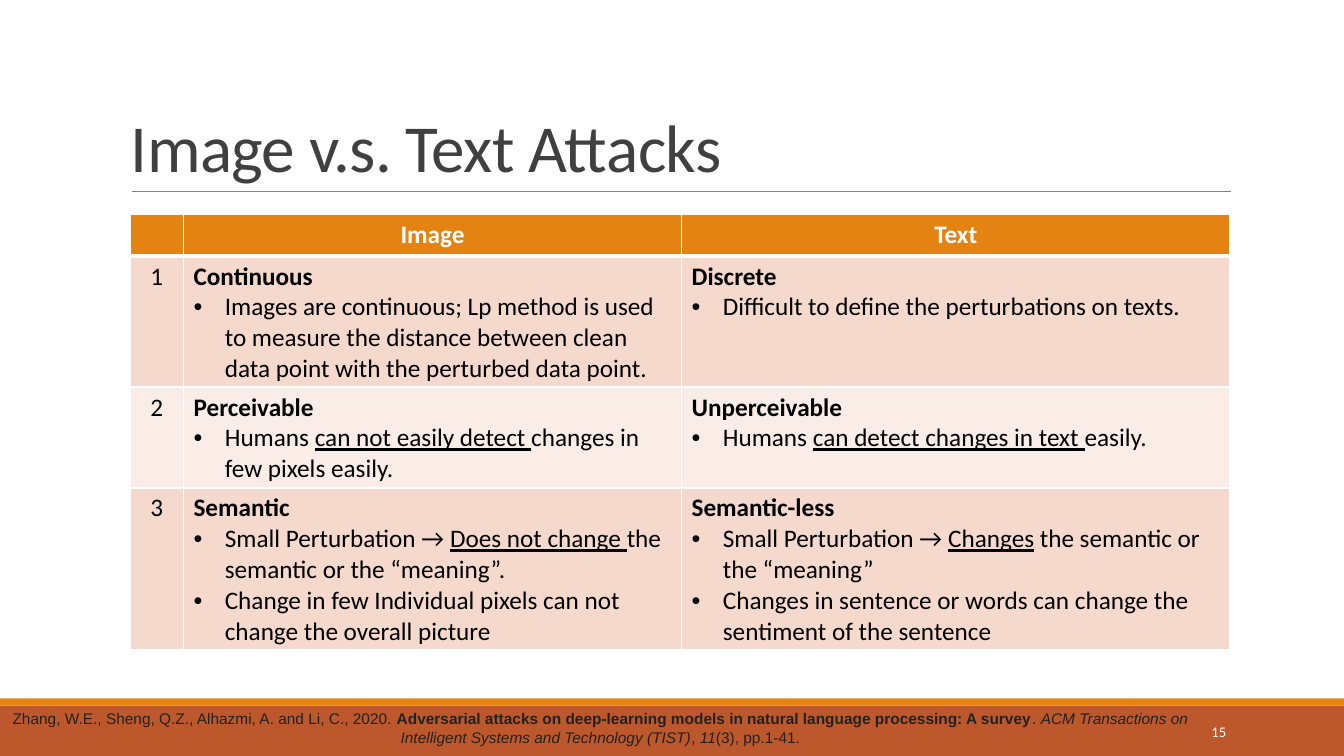
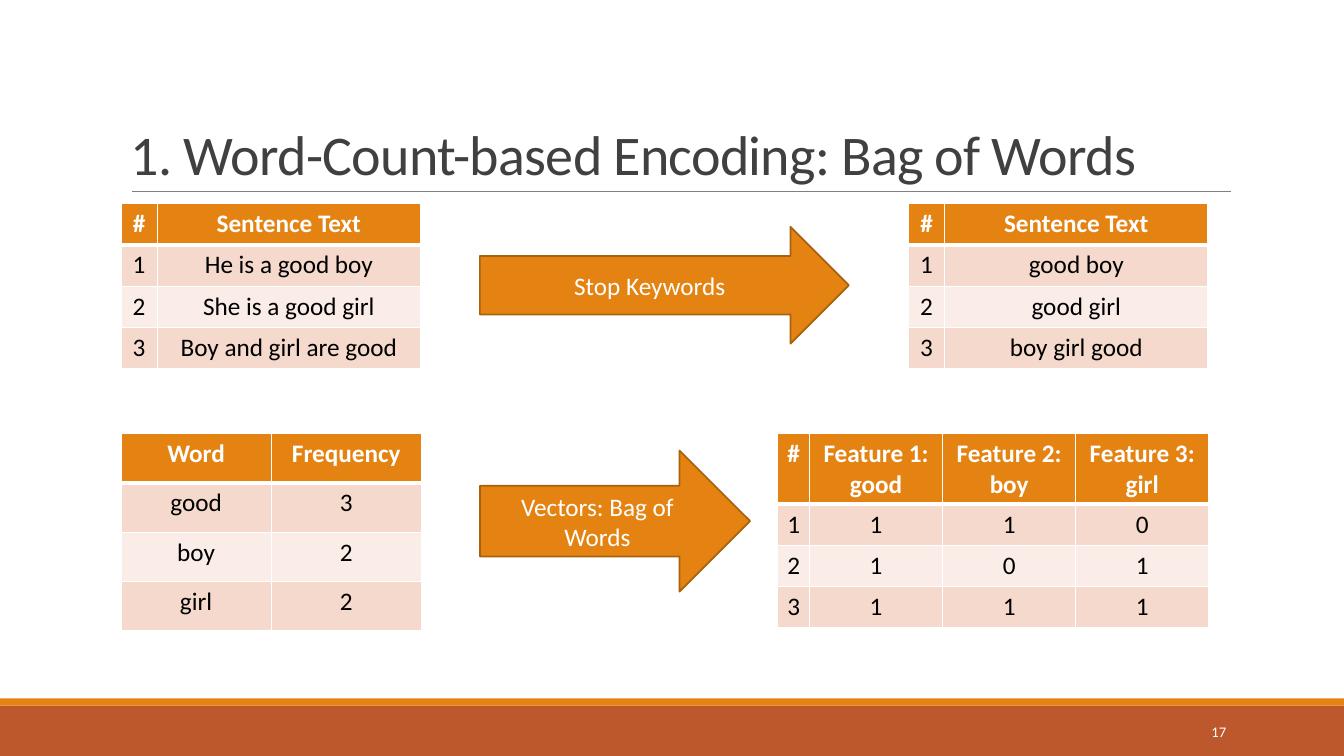
from lxml import etree
from pptx import Presentation
from pptx.dml.color import RGBColor
from pptx.enum.shapes import MSO_CONNECTOR, MSO_SHAPE
from pptx.enum.text import MSO_ANCHOR, PP_ALIGN
from pptx.oxml.ns import qn
from pptx.util import Emu, Pt

PX = 9144
WIDTH, HEIGHT = 1333, 750
WHITE = RGBColor(0xFF, 0xFF, 0xFF)
BLACK = RGBColor(0x00, 0x00, 0x00)
ORANGE = RGBColor(0xE4, 0x83, 0x12)
ORANGE_EDGE = RGBColor(0xA9, 0x61, 0x0D)
RUST = RGBColor(0xBD, 0x58, 0x2C)
GRAY = RGBColor(0x80, 0x80, 0x80)
TITLE_INK = RGBColor(0x40, 0x40, 0x40)
CITATION_INK = RGBColor(0x22, 0x22, 0x22)
STRIPES = (RGBColor(0xF5, 0xD9, 0xCC), RGBColor(0xFA, 0xED, 0xE7))

BULLET_INDENT = 31
SENTENCE_COLUMNS = (36, 261)
SENTENCE_HEADER = ("#", "Sentence Text")

CITATION = [
    "Zhang, W.E., Sheng, Q.Z., Alhazmi, A. and Li, C., 2020. ",
    ("Adversarial attacks on deep-learning models in natural language processing: A survey", "b"),
    ". ",
    ("ACM Transactions on Intelligent Systems and Technology (TIST)", "i"),
    ", ",
    ("11", "i"),
    "(3), pp.1-41.",
]

ATTACKS = [
    ("", "Image", "Text"),
    ("1",
     [[("Continuous", "b")],
      ["Images are continuous; Lp method is used to measure the distance between clean "
       "data point with the perturbed data point."]],
     [[("Discrete", "b")],
      ["Difficult to define the perturbations on texts."]]),
    ("2",
     [[("Perceivable", "b")],
      ["Humans ", ("can not easily detect ", "u"), "changes in few pixels easily."]],
     [[("Unperceivable", "b")],
      ["Humans ", ("can detect changes in text ", "u"), "easily."]]),
    ("3",
     [[("Semantic", "b")],
      ["Small Perturbation → ", ("Does not change ", "u"), "the semantic or the “meaning”."],
      ["Change in few Individual pixels can not change the overall picture"]],
     [[("Semantic-less", "b")],
      ["Small Perturbation → ", ("Changes", "u"), " the semantic or the “meaning”"],
      ["Changes in sentence or words can change the sentiment of the sentence"]]),
]

SLIDES = [
    {
        "title": "Image v.s. Text Attacks", "title_size": 48, "number": "15",
        "citation": CITATION,
        "tables": [
            {"at": (129, 213), "columns": (53, 494, 544), "rows": (41, 130, 100, 160),
             "cells": ATTACKS},
        ],
        "arrows": [],
    },
    {
        "title": "1. Word-Count-based Encoding: Bag of Words", "title_size": 40, "number": "17",
        "citation": None,
        "tables": [
            {"at": (120, 202), "columns": SENTENCE_COLUMNS, "rows": (41,) * 4,
             "cells": [SENTENCE_HEADER, ("1", "He is a good boy"),
                       ("2", "She is a good girl"), ("3", "Boy and girl are good")]},
            {"at": (901, 202), "columns": SENTENCE_COLUMNS, "rows": (41,) * 4,
             "cells": [SENTENCE_HEADER, ("1", "good boy"),
                       ("2", "good girl"), ("3", "boy girl good")]},
            {"at": (120, 430), "columns": (149, 149), "rows": (49,) * 4,
             "cells": [("Word", "Frequency"), ("good", "3"), ("boy", "2"), ("girl", "2")]},
            {"at": (771, 430), "columns": (32, 132, 132, 132), "rows": (70, 41, 41, 41),
             "cells": [("#", "Feature 1: good", "Feature 2: boy", "Feature 3: girl"),
                       ("1", "1", "1", "0"), ("2", "1", "0", "1"), ("3", "1", "1", "1")]},
        ],
        "arrows": [
            ("Stop Keywords", (476, 225, 366, 116)),
            ("Vectors: Bag of Words", (476, 447, 268, 140)),
        ],
    },
]


def px(*lengths):
    return [Emu(length * PX) for length in lengths]


def write(frame, paras, size=18, font="Calibri", color=BLACK, bold=False,
          align=PP_ALIGN.LEFT, spacing=None, tracking=None, bulleted=False):
    frame.word_wrap = True
    for index, spans in enumerate(paras):
        para = frame.add_paragraph() if index else frame.paragraphs[0]
        para.alignment = align
        if bulleted and index:
            properties = para._p.get_or_add_pPr()
            properties.set("marL", str(BULLET_INDENT * PX))
            properties.set("indent", str(-BULLET_INDENT * PX))
            etree.SubElement(properties, qn("a:buFont"), typeface="Arial")
            etree.SubElement(properties, qn("a:buChar"), char="•")
        if spacing:
            para.line_spacing = spacing
        for item in spans:
            text, style = (item, "") if isinstance(item, str) else item
            span = para.add_run()
            span.text = text
            span.font.name = font
            span.font.size = Pt(size)
            span.font.color.rgb = color
            span.font.bold = bold or style == "b"
            span.font.italic = style == "i"
            span.font.underline = style == "u"
            if tracking:
                span._r.get_or_add_rPr().set("spc", str(tracking))


def add_text(page, at, paras, anchor=MSO_ANCHOR.TOP, **style):
    box = page.shapes.add_textbox(*px(*at))
    box.text_frame.vertical_anchor = anchor
    write(box.text_frame, paras, **style)


def add_block(page, kind, at, fill, edge=None):
    block = page.shapes.add_shape(kind, *px(*at))
    block.shadow.inherit = False
    block.fill.solid()
    block.fill.fore_color.rgb = fill
    if edge:
        block.line.color.rgb = edge
        block.line.width = Pt(1.25)
    else:
        block.line.fill.background()
    return block


def add_arrow(page, text, at):
    arrow = add_block(page, MSO_SHAPE.RIGHT_ARROW, at, ORANGE, ORANGE_EDGE)
    arrow.text_frame.vertical_anchor = MSO_ANCHOR.MIDDLE
    write(arrow.text_frame, [[text]], color=WHITE, align=PP_ALIGN.CENTER)


def add_borders(cell, top, bottom):
    properties = cell._tc.get_or_add_tcPr()
    for side, points in (("L", 1), ("R", 1), ("T", top), ("B", bottom)):
        line = etree.SubElement(properties, qn(f"a:ln{side}"), w=str(Pt(points)))
        fill = etree.SubElement(line, qn("a:solidFill"))
        etree.SubElement(fill, qn("a:srgbClr"), val=str(WHITE))


def add_grid(page, at, columns, rows, cells):
    size = (sum(columns), sum(rows))
    table = page.shapes.add_table(len(rows), len(columns), *px(*at, *size)).table
    for column, width in zip(table.columns, px(*columns)):
        column.width = width
    for row, height in zip(table.rows, px(*rows)):
        row.height = height
    for r, values in enumerate(cells):
        header = r == 0
        for c, value in enumerate(values):
            cell = table.cell(r, c)
            add_borders(cell, 3 if r == 1 else 1, 3 if header else 1)
            cell.fill.solid()
            cell.fill.fore_color.rgb = ORANGE if header else STRIPES[(r - 1) % 2]
            plain = isinstance(value, str)
            paras = [[value] if value else []] if plain else value
            write(cell.text_frame, paras, color=WHITE if header else BLACK, bold=header,
                  align=PP_ALIGN.CENTER if plain else PP_ALIGN.LEFT, bulleted=not plain)


def add_common(page, title, title_size, number):
    add_block(page, MSO_SHAPE.RECTANGLE, (0, 700, WIDTH, 50), RUST)
    add_block(page, MSO_SHAPE.RECTANGLE, (0, 693, WIDTH, 7), ORANGE)
    rule = page.shapes.add_connector(MSO_CONNECTOR.STRAIGHT, *px(131, 190, 1221, 190))
    rule.line.color.rgb = GRAY
    rule.line.width = Pt(0.5)
    etree.SubElement(rule._element.spPr, qn("a:effectLst"))
    add_text(page, (120, 31, 1100, 159), [[title]], MSO_ANCHOR.BOTTOM, size=title_size,
             color=TITLE_INK, spacing=0.85, tracking=-50)
    add_text(page, (1083, 706, 143, 40), [[number]], MSO_ANCHOR.MIDDLE, size=10.5,
             color=WHITE, align=PP_ALIGN.RIGHT)


def main():
    deck = Presentation()
    deck.slide_width, deck.slide_height = px(WIDTH, HEIGHT)
    for content in SLIDES:
        page = deck.slides.add_slide(deck.slide_layouts[6])
        add_common(page, content["title"], content["title_size"], content["number"])
        if content["citation"]:
            add_text(page, (0, 699, 1191, 47), [content["citation"]], size=11, font="Arial",
                     color=CITATION_INK, align=PP_ALIGN.CENTER)
        for grid in content["tables"]:
            add_grid(page, **grid)
        for text, at in content["arrows"]:
            add_arrow(page, text, at)
    deck.save("out.pptx")


if __name__ == "__main__":
    main()
